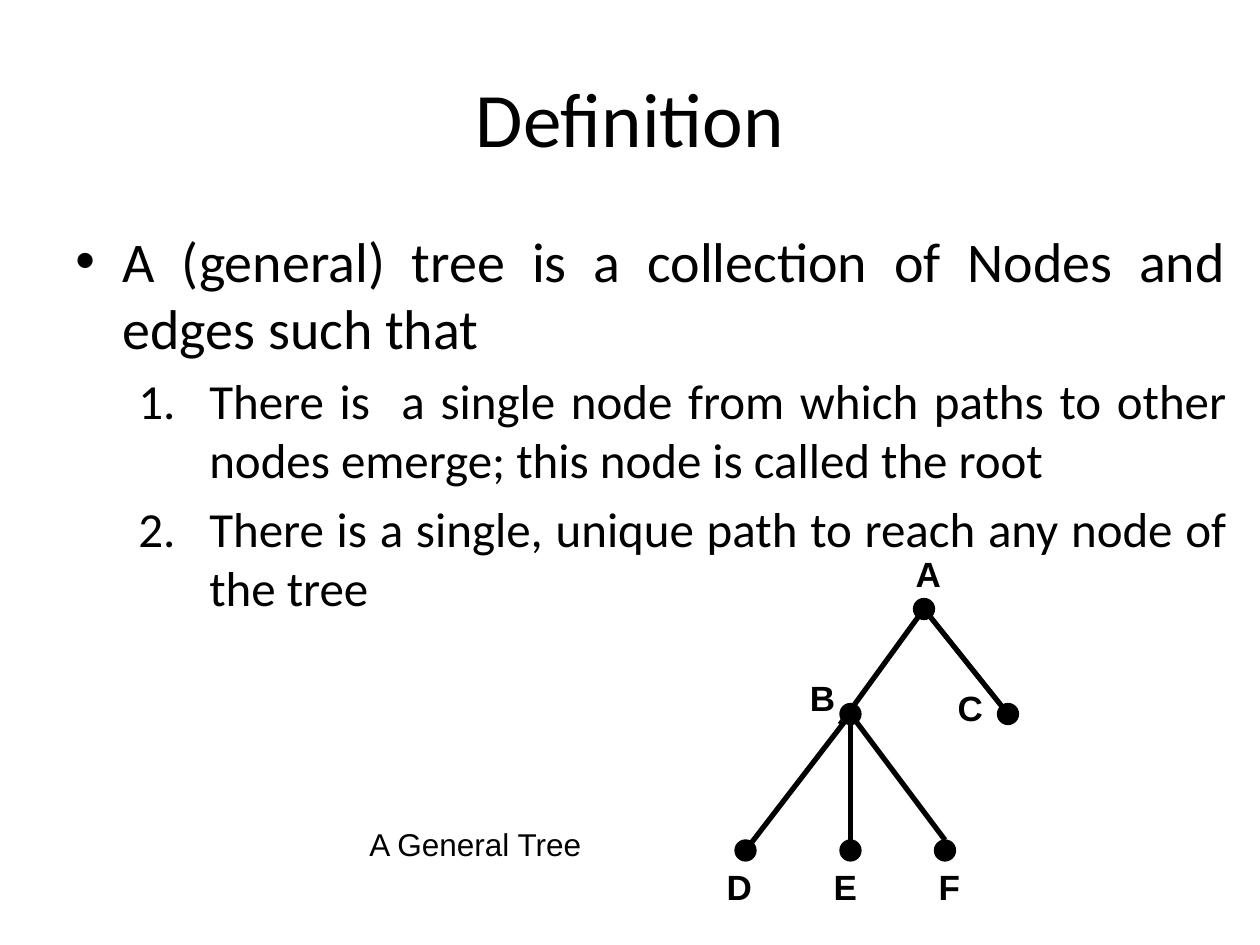
from dataclasses import dataclass

import lxml.etree
import pptx
import pptx.dml.color
import pptx.enum.shapes
import pptx.enum.text
import pptx.oxml.ns
import pptx.util

Pt = pptx.util.Pt
Align = pptx.enum.text.PP_ALIGN
Anchor = pptx.enum.text.MSO_ANCHOR
qn = pptx.oxml.ns.qn


@dataclass(frozen=True)
class Theme:
    """Colours, fonts and type sizes of the slide."""
    ink: pptx.dml.color.RGBColor = pptx.dml.color.RGBColor(0, 0, 0)
    text_font: str = "Calibri"
    figure_font: str = "Arial"
    title: int = 44
    body: int = 32
    item: int = 28
    label: int = 20
    caption: int = 18
    edge: float = 3
    outline: float = 0.75


THEME = Theme()


def write_text(paragraph, text, size, font=THEME.text_font, bold=False, align=Align.LEFT):
    """Put formatted text into a paragraph."""
    paragraph.alignment = align
    run = paragraph.add_run()
    run.text = text
    run.font.size = Pt(size)
    run.font.name = font
    run.font.bold = bold
    run.font.color.rgb = THEME.ink


def add_marker(paragraph, tag, margin, indent, **attributes):
    """Give a paragraph a hanging indent and a bullet or number."""
    properties = paragraph._p.get_or_add_pPr()
    properties.set("marL", str(Pt(margin)))
    properties.set("indent", str(Pt(indent)))
    font = lxml.etree.SubElement(properties, qn("a:buFont"))
    font.set("typeface", THEME.figure_font)
    if tag == "a:buAutoNum":
        font.set("typeface", "+mj-lt")
    marker = lxml.etree.SubElement(properties, qn(tag))
    for name, value in attributes.items():
        marker.set(name, value)


def add_box(slide, left, top, width, height, wrap=False, anchor=Anchor.TOP):
    """Add a text box and return its text frame."""
    frame = slide.shapes.add_textbox(Pt(left), Pt(top), Pt(width), Pt(height)).text_frame
    frame.word_wrap = wrap
    frame.vertical_anchor = anchor
    return frame


def place_title(slide, text, left, top, width, height):
    """Move the title placeholder and fill it."""
    title = slide.shapes.title
    title.left, title.top, title.width, title.height = map(Pt, (left, top, width, height))
    title.text_frame.vertical_anchor = Anchor.MIDDLE
    write_text(title.text_frame.paragraphs[0], text, THEME.title, align=Align.CENTER)


def place_definition(slide, lead, items, left, top, width, height):
    """Add the bulleted lead and its numbered conditions."""
    frame = add_box(slide, left, top, width, height, wrap=True)
    for index, text in enumerate([lead, *items]):
        paragraph = frame.add_paragraph() if index else frame.paragraphs[0]
        size = THEME.item if index else THEME.body
        paragraph.space_before = Pt(size * 0.2)
        write_text(paragraph, text, size, align=Align.JUSTIFY)
        if index:
            paragraph.level = 1
            add_marker(paragraph, "a:buAutoNum", 76.5, -40.5, type="arabicPeriod")
        else:
            add_marker(paragraph, "a:buChar", 27, -27, char="•")


def add_edge(slide, start, end):
    """Draw one edge between two points."""
    edge = slide.shapes.add_connector(
        pptx.enum.shapes.MSO_CONNECTOR.STRAIGHT, *map(Pt, (*start, *end)))
    edge.line.color.rgb = THEME.ink
    edge.line.width = Pt(THEME.edge)
    lxml.etree.SubElement(edge._element.spPr, qn("a:effectLst"))


def add_node(slide, x, y, diameter=12):
    """Draw one node centred on a point."""
    node = slide.shapes.add_shape(
        pptx.enum.shapes.MSO_SHAPE.OVAL,
        *map(Pt, (x - diameter / 2, y - diameter / 2, diameter, diameter)))
    node.shadow.inherit = False
    node.fill.solid()
    node.fill.fore_color.rgb = THEME.ink
    node.line.color.rgb = THEME.ink
    node.line.width = Pt(THEME.outline)


def place_tree(slide, left, top):
    """Draw the tree: edges, then labels, then nodes."""
    # Node centre, then the offset from it to the label centre.
    nodes = {
        "A": (108, 36, 2.5, -20.5),
        "B": (66, 96, -16, -9.5),
        "C": (156, 96, -21.5, -3.5),
        "D": (6, 174, -3.5, 20.5),
        "E": (66, 174, -3, 20.5),
        "F": (120, 174, 2.5, 20.5),
    }
    # Parent, child, and how far the edge ends from the child's centre.
    edges = [("A", "B", -6, 6), ("A", "C", 0, 0), ("B", "D", 0, 0),
             ("B", "F", 0, -6), ("B", "E", 0, 0)]
    centres = {name: (left + x, top + y) for name, (x, y, _, _) in nodes.items()}
    for parent, child, dx, dy in edges:
        x, y = centres[child]
        add_edge(slide, centres[parent], (x + dx, y + dy))
    width, height = 29, 31
    for name, (_, _, dx, dy) in nodes.items():
        x, y = centres[name]
        frame = add_box(slide, x + dx - width / 2, y + dy - height / 2, width, height,
                        anchor=Anchor.MIDDLE)
        write_text(frame.paragraphs[0], name, THEME.label, font=THEME.figure_font,
                   bold=True, align=Align.CENTER)
    for centre in centres.values():
        add_node(slide, *centre)


def place_caption(slide, text, left, top, width, height):
    """Add the caption of the tree."""
    frame = add_box(slide, left, top, width, height)
    write_text(frame.paragraphs[0], text, THEME.caption, font=THEME.figure_font)


def main():
    """Build and save the presentation."""
    presentation = pptx.Presentation()
    presentation.slide_width, presentation.slide_height = Pt(720), Pt(540)
    slide = presentation.slides.add_slide(presentation.slide_layouts[5])
    place_title(slide, "Definition", 36, 21.6, 648, 90)
    place_definition(
        slide,
        "A (general) tree is a collection of Nodes and edges such that",
        ["There is  a single node from which paths to other nodes emerge; "
         "this node is called the root",
         "There is a single, unique path to reach any node of the tree"],
        36, 126, 672, 246)
    place_tree(slide, 420, 312)
    place_caption(slide, "A General Tree", 204, 468, 137, 29)
    presentation.save("out.pptx")


main()
